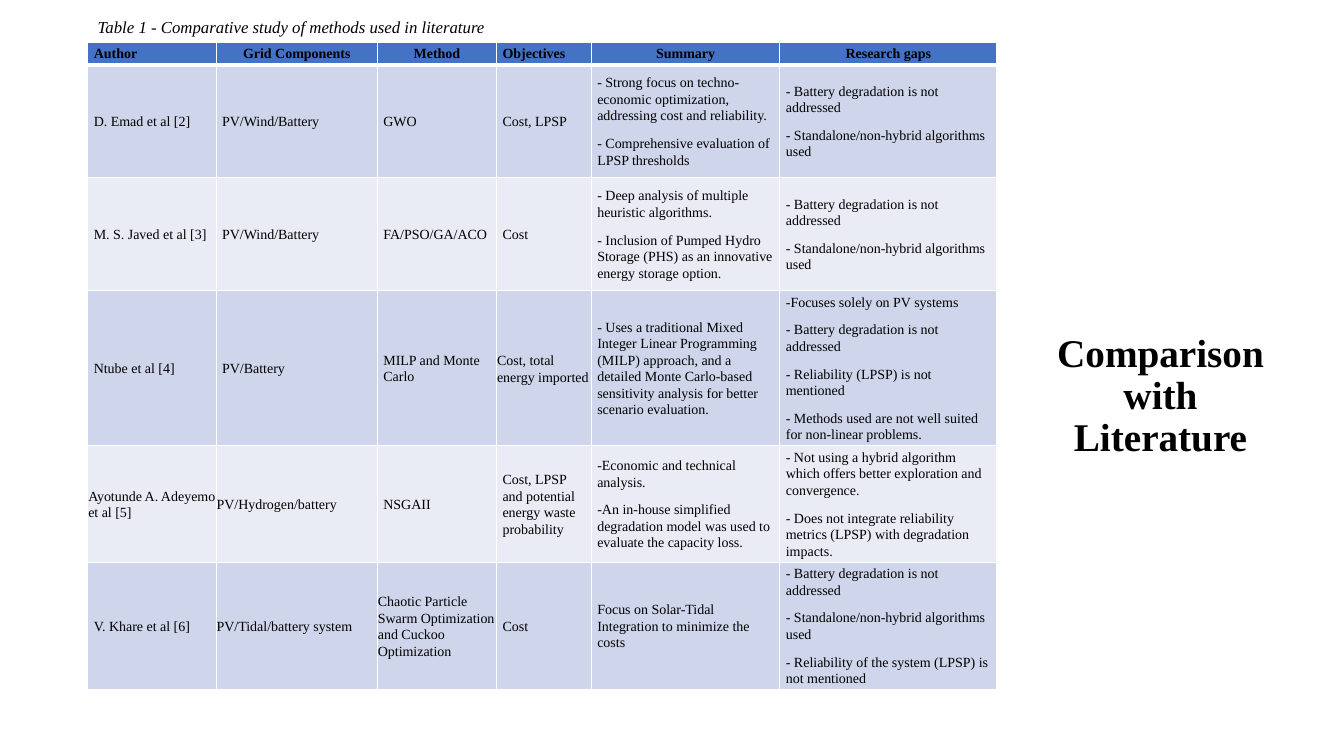
from lxml import etree
from pptx import Presentation
from pptx import util as u
from pptx.dml import color
from pptx.enum import text
from pptx.oxml import ns

FONT = "Times New Roman"
BLACK, WHITE = "000000", "FFFFFF"
BLUE, DARK, LIGHT = "4472C4", "CFD5EA", "E9EBF5"
LEFT, MID = text.PP_ALIGN.LEFT, text.PP_ALIGN.CENTER

COLS = [9.55, 12, 8.87, 7.05, 14.03, 16.13]
ROWS = [2.8, 14.93, 14.93, 19.73, 14.93, 16.27]
ALIGNS = [LEFT, MID, MID, LEFT, MID, MID]
TIGHT = {(3, 3), (4, 0), (4, 1), (5, 1), (5, 2)}

WORN = "- Battery degradation is not addressed"
ALONE = "- Standalone/non-hybrid algorithms used"
STUDIES = [
    ["Author", "Grid Components", "Method", "Objectives", "Summary", "Research gaps"],
    ["D. Emad et al [2]", "PV/Wind/Battery", "GWO", "Cost, LPSP",
     "- Strong focus on techno-economic optimization, addressing cost and reliability.\n"
     "- Comprehensive evaluation of LPSP thresholds",
     f"{WORN}\n{ALONE}"],
    ["M. S. Javed et al [3]", "PV/Wind/Battery", "FA/PSO/GA/ACO", "Cost",
     "- Deep analysis of multiple heuristic algorithms.\n"
     "- Inclusion of Pumped Hydro Storage (PHS) as an innovative energy storage option.",
     f"{WORN}\n{ALONE}"],
    ["Ntube et al [4]", "PV/Battery", "MILP and Monte Carlo", "Cost, total energy imported",
     "- Uses a traditional Mixed Integer Linear Programming (MILP) approach, and a detailed "
     "Monte Carlo-based sensitivity analysis for better scenario evaluation.",
     f"-Focuses solely on PV systems\n{WORN}\n- Reliability (LPSP) is not mentioned\n"
     "- Methods used are not well suited for non-linear problems."],
    ["Ayotunde A. Adeyemo et al [5]", "PV/Hydrogen/battery", "NSGAII",
     "Cost, LPSP and potential energy waste probability",
     "-Economic and technical analysis.\n"
     "-An in-house simplified degradation model was used to evaluate the capacity loss.",
     "- Not using a hybrid algorithm which offers better exploration and convergence.\n"
     "- Does not integrate reliability metrics (LPSP) with degradation impacts."],
    ["V. Khare et al [6]", "PV/Tidal/battery system",
     "Chaotic Particle Swarm Optimization and Cuckoo Optimization", "Cost",
     "Focus on Solar-Tidal Integration to minimize the costs",
     f"{WORN}\n{ALONE}\n- Reliability of the system (LPSP) is not mentioned"],
]


def paint(code):
    return color.RGBColor.from_string(code)


class Deck:
    def __init__(self):
        self.prs = Presentation()
        self.prs.slide_width, self.prs.slide_height = u.Inches(13.33), u.Inches(7.5)
        self.slide = self.prs.slides.add_slide(self.prs.slide_layouts[5])

    def wide(self, share):
        return u.Emu(int(self.prs.slide_width * share / 100))

    def high(self, share):
        return u.Emu(int(self.prs.slide_height * share / 100))

    def box(self, x, y, w, h):
        return self.wide(x), self.high(y), self.wide(w), self.high(h)

    def prose(self, frame, words, size, align=LEFT, lines=None, after=8, bold=False, slant=False):
        frame.word_wrap = True
        frame.text = words
        for par in frame.paragraphs:
            par.alignment, par.line_spacing = align, lines
            par.space_after = u.Pt(after)
            font = par.font
            font.name, font.size = FONT, u.Pt(size)
            font.bold, font.italic = bold, slant
            font.color.rgb = paint(BLACK)

    def title(self, place, words):
        shape = self.slide.shapes.title
        shape.left, shape.top, shape.width, shape.height = self.box(*place)
        frame = shape.text_frame
        self.prose(frame, words, 28, MID, 0.9, 0, bold=True)
        frame.auto_size = text.MSO_AUTO_SIZE.NONE
        frame.vertical_anchor = text.MSO_ANCHOR.MIDDLE

    def label(self, place, words):
        frame = self.slide.shapes.add_textbox(*self.box(*place)).text_frame
        self.prose(frame, words, 12, slant=True)
        frame.auto_size = text.MSO_AUTO_SIZE.SHAPE_TO_FIT_TEXT

    def edge(self, cell, row):
        props = cell._tc.get_or_add_tcPr()
        thick = {"lnB": 3} if row == 0 else {"lnT": 3} if row == 1 else {}
        for spot, side in enumerate(("lnL", "lnR", "lnT", "lnB")):
            line = etree.Element(ns.qn(f"a:{side}"), w=str(u.Pt(thick.get(side, 1))))
            fill = etree.SubElement(line, ns.qn("a:solidFill"))
            etree.SubElement(fill, ns.qn("a:srgbClr"), val=WHITE)
            props.insert(spot, line)

    def cell(self, cell, row, col, words):
        head = row == 0
        cell.fill.solid()
        cell.fill.fore_color.rgb = paint(BLUE if head else DARK if row % 2 else LIGHT)
        side, top, base = (0.04, 0.1, 0) if (row, col) in TIGHT else (0.45, 0.4, 0.4)
        cell.margin_left = cell.margin_right = self.wide(side)
        cell.margin_top, cell.margin_bottom = self.high(top), self.high(base)
        cell.vertical_anchor = text.MSO_ANCHOR.MIDDLE
        self.prose(cell.text_frame, words, 10, ALIGNS[col] if head else LEFT, 1.07, bold=head)
        self.edge(cell, row)

    def table(self, place, data):
        shape = self.slide.shapes.add_table(len(ROWS), len(COLS), *self.box(*place))
        grid = shape.table
        for col, share in zip(grid.columns, COLS):
            col.width = self.wide(share)
        for row, share in zip(grid.rows, ROWS):
            row.height = self.high(share)
        for row, line in enumerate(data):
            for col, words in enumerate(line):
                self.cell(grid.cell(row, col), row, col, words)
        shape.height = self.high(place[3])


def main():
    deck = Deck()
    deck.title((76.14, 35.6, 20.41, 33.73), "Comparison with Literature")
    deck.table((6.53, 5.6, sum(COLS), 88.8), STUDIES)
    deck.label((6.53, 1.6, 50, 4), "Table 1 - Comparative study of methods used in literature")
    deck.prs.save("out.pptx")


if __name__ == "__main__":
    main()
